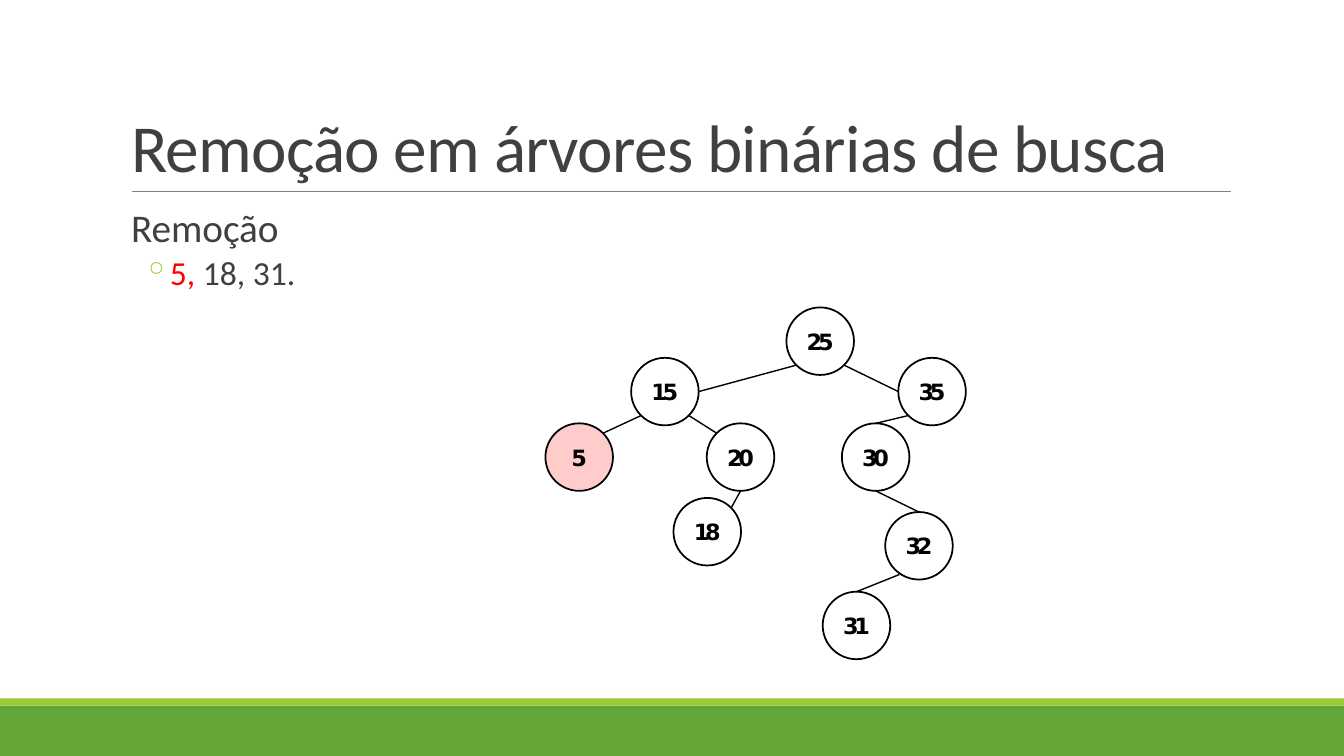
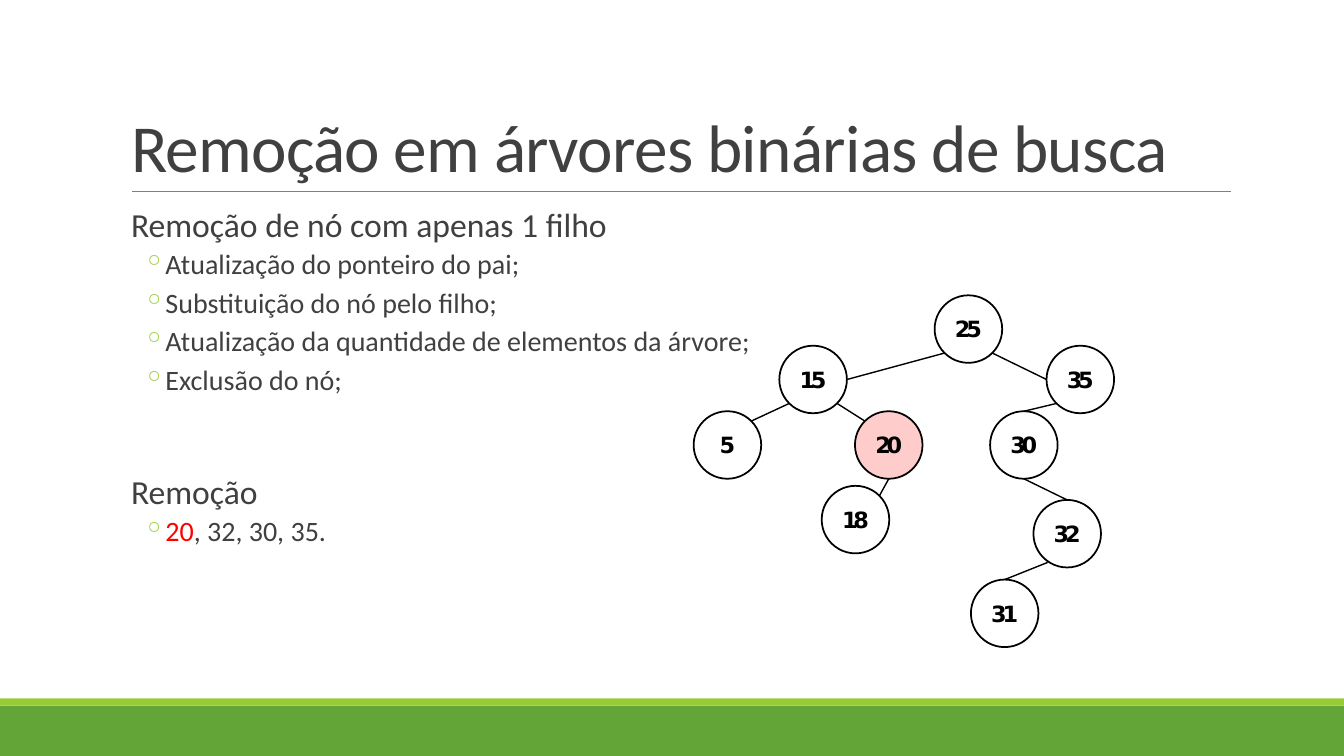
from pptx import Presentation
from pptx.dml.color import RGBColor
from pptx.enum.shapes import MSO_CONNECTOR, MSO_SHAPE
from pptx.enum.text import MSO_ANCHOR, MSO_AUTO_SIZE, PP_ALIGN
from pptx.oxml.ns import qn
from pptx.util import Inches, Pt
from lxml import etree

STRAIGHT = MSO_CONNECTOR.STRAIGHT
RECTANGLE, OVAL = MSO_SHAPE.RECTANGLE, MSO_SHAPE.OVAL
MIDDLE, BOTTOM = MSO_ANCHOR.MIDDLE, MSO_ANCHOR.BOTTOM
LEFT, CENTER = PP_ALIGN.LEFT, PP_ALIGN.CENTER
NO_AUTOFIT = MSO_AUTO_SIZE.NONE

WHITE = RGBColor(0xFF, 0xFF, 0xFF)
BLACK = RGBColor(0x00, 0x00, 0x00)
DARK_GRAY = RGBColor(0x40, 0x40, 0x40)
RULE_GRAY = RGBColor(0x80, 0x80, 0x80)
GREEN = RGBColor(0x63, 0xA5, 0x37)
LIME = RGBColor(0x99, 0xCB, 0x38)
RED = RGBColor(0xFF, 0x00, 0x00)
PINK = RGBColor(0xFF, 0xCC, 0xCC)

TEXT_FONT = "Calibri"
NODE_FONT = "DejaVu Sans"
WIDTH, HEIGHT = 13.33, 7.5
TITLE = "Remoção em árvores binárias de busca"

NODE_SIZE = 0.67
NODES = {
    "25": (7.8, 3.05),
    "15": (6.26, 3.55),
    "35": (8.91, 3.55),
    "5": (5.41, 4.2),
    "20": (7.01, 4.2),
    "30": (8.35, 4.2),
    "32": (8.78, 5.08),
    "18": (6.68, 4.94),
    "31": (8.16, 5.87),
}
SITES = {
    "top": (0, -1),
    "bottom": (0, 1),
    "left": (-1, 0),
    "right": (1, 0),
    "top left": (-0.71, -0.71),
    "top right": (0.71, -0.71),
    "bottom left": (-0.71, 0.71),
    "bottom right": (0.71, 0.71),
    "low left": (-0.58, 0.85),
}
EDGES = [
    ("15", "bottom left", "5", "top right"),
    ("15", "bottom right", "20", "top left"),
    ("25", "bottom left", "15", "right"),
    ("25", "bottom right", "35", "left"),
    ("20", "bottom", "18", "top right"),
    ("35", "bottom left", "30", "top"),
    ("30", "bottom", "32", "top"),
    ("32", "low left", "31", "top"),
]


def add_text(para, text, *, size, color=DARK_GRAY, font=TEXT_FONT, bold=False, tracking=0):
    span = para.add_run()
    span.text = text
    span.font.size = Pt(size)
    span.font.name = font
    span.font.bold = bold
    span.font.color.rgb = color
    if tracking:
        span.font._element.set("spc", str(int(tracking * 100)))


def set_indent(para, margin, hanging=0):
    properties = para._p.get_or_add_pPr()
    properties.set("marL", str(Inches(margin)))
    properties.set("indent", str(-Inches(hanging)))
    return properties


def set_bullet(para, character, color):
    properties = set_indent(para, 0.42, 0.2)
    bullet_color = etree.SubElement(properties, qn("a:buClr"))
    etree.SubElement(bullet_color, qn("a:srgbClr"), val=str(color))
    etree.SubElement(properties, qn("a:buChar"), char=character)


class SlideBuilder:
    def __init__(self, deck):
        self.deck = deck
        self.slide = None

    def start(self, title):
        self.slide = self.deck.slides.add_slide(self.deck.slide_layouts[5])
        self.shape(RECTANGLE, 0, 7, WIDTH, 0.5, GREEN)
        self.shape(RECTANGLE, 0, 6.93, WIDTH, 0.07, LIME)
        self.line((1.31, 1.9), (12.21, 1.9), RULE_GRAY, 0.5)
        self.title(title)

    def title(self, text):
        box = self.slide.shapes.title
        box.left, box.top = Inches(1.2), Inches(0.31)
        box.width, box.height = Inches(11), Inches(1.59)
        frame = box.text_frame
        frame.auto_size = NO_AUTOFIT
        frame.vertical_anchor = BOTTOM
        para = frame.paragraphs[0]
        para.alignment = LEFT
        para.line_spacing = 0.85
        add_text(para, text, size=48, tracking=-0.5)

    def shape(self, kind, left, top, width, height, fill, outline=None):
        shape = self.slide.shapes.add_shape(
            kind, Inches(left), Inches(top), Inches(width), Inches(height))
        shape.shadow.inherit = False
        shape.fill.solid()
        shape.fill.fore_color.rgb = fill
        if outline is None:
            shape.line.fill.background()
        else:
            shape.line.color.rgb = outline
            shape.line.width = Pt(1.25)
        return shape

    def line(self, start, end, color, width):
        points = [Inches(value) for value in (*start, *end)]
        line = self.slide.shapes.add_connector(STRAIGHT, *points)
        line.line.color.rgb = color
        line.line.width = Pt(width)
        etree.SubElement(line._element.spPr, qn("a:effectLst"))

    def body(self, sections, heading_size, item_size, section_gap=12):
        box = self.slide.shapes.add_textbox(Inches(1.2), Inches(2.02), Inches(11), Inches(4.4))
        frame = box.text_frame
        frame.word_wrap = True
        frame.margin_left = frame.margin_right = 0
        para = frame.paragraphs[0]
        for number, (heading, items) in enumerate(sections):
            if number:
                para = frame.add_paragraph()
            para.line_spacing = 0.9
            para.space_before = Pt(section_gap if number else 12)
            para.space_after = Pt(2)
            set_indent(para, 0.1)
            add_text(para, heading, size=heading_size)
            for spans in items:
                para = frame.add_paragraph()
                para.level = 1
                para.line_spacing = 0.9
                para.space_before = Pt(2)
                para.space_after = Pt(4)
                set_bullet(para, "◦", LIME)
                for text, color in spans:
                    add_text(para, text, size=item_size, color=color)

    def node(self, label, left, top, fill):
        circle = self.shape(OVAL, left, top, NODE_SIZE, NODE_SIZE, fill, BLACK)
        frame = circle.text_frame
        frame.vertical_anchor = MIDDLE
        para = frame.paragraphs[0]
        para.alignment = CENTER
        add_text(para, label, size=16, color=BLACK, font=NODE_FONT, bold=True, tracking=-3)

    def tree(self, highlighted, shift_right=0, shift_down=0):
        radius = NODE_SIZE / 2
        places = {label: (left + shift_right, top + shift_down)
                  for label, (left, top) in NODES.items()}

        def site(label, name):
            return [corner + radius * (1 + direction)
                    for corner, direction in zip(places[label], SITES[name])]

        for label, (left, top) in places.items():
            self.node(label, left, top, PINK if label == highlighted else WHITE)
        for parent, parent_site, child, child_site in EDGES:
            self.line(site(parent, parent_site), site(child, child_site), BLACK, 1)


def main():
    deck = Presentation()
    deck.slide_width, deck.slide_height = Inches(WIDTH), Inches(HEIGHT)
    builder = SlideBuilder(deck)

    builder.start(TITLE)
    builder.body([("Remoção", [[("5, ", RED), ("18, 31.", DARK_GRAY)]])], 28, 24)
    builder.tree("5")

    steps = [
        "Atualização do ponteiro do pai;",
        "Substituição do nó pelo filho;",
        "Atualização da quantidade de elementos da árvore;",
        "Exclusão do nó;",
    ]
    builder.start(TITLE)
    builder.body([
        ("Remoção de nó com apenas 1 filho", [[(step, DARK_GRAY)] for step in steps]),
        ("Remoção", [[("20", RED), (", 32, 30, 35.", DARK_GRAY)]]),
    ], 24, 20, section_gap=52)
    builder.tree("20", shift_right=1.47, shift_down=-0.12)

    deck.save("out.pptx")


if __name__ == "__main__":
    main()
